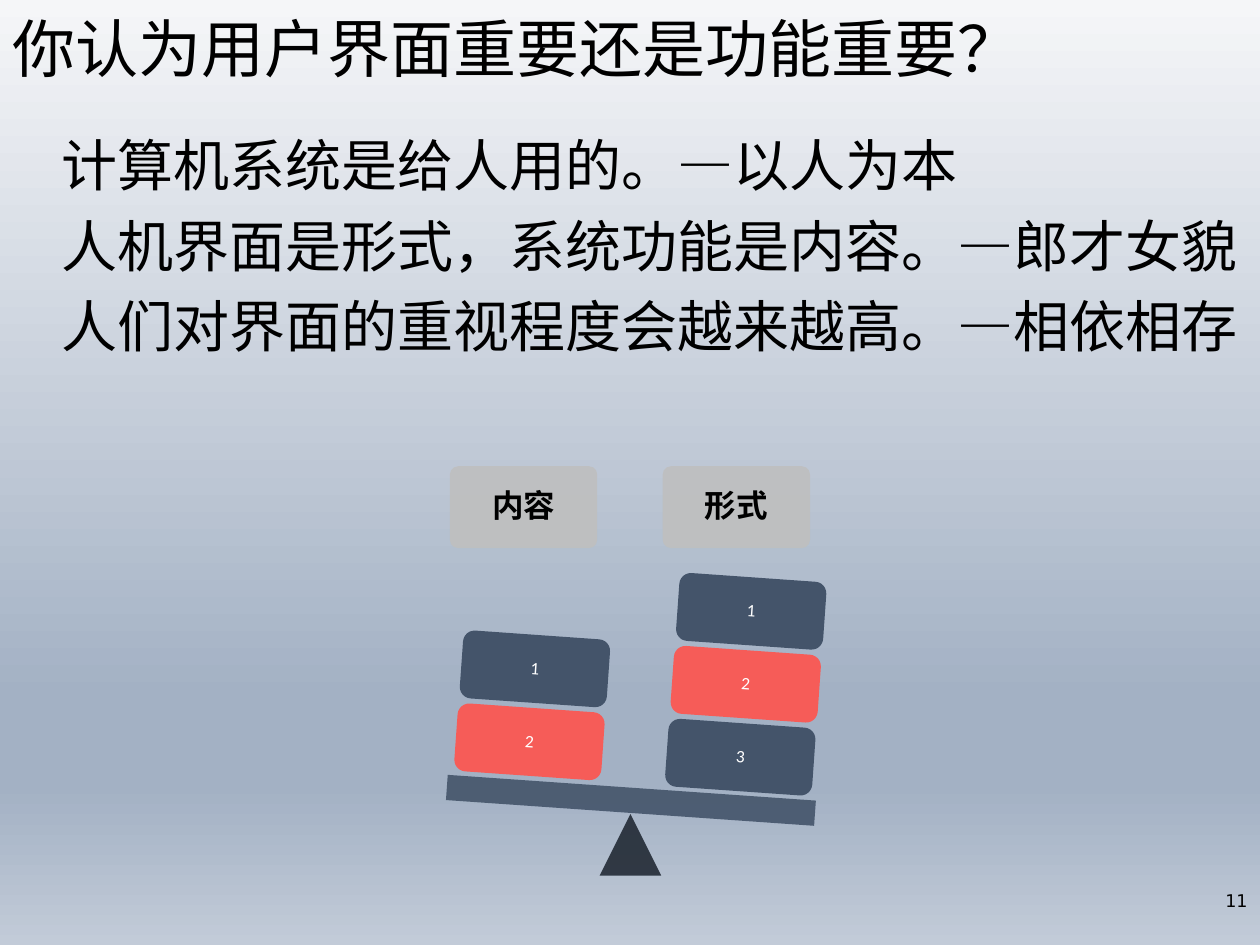
import copy

import pptx
import pptx.dml.color
import pptx.enum.shapes
import pptx.enum.text
import pptx.oxml
import pptx.oxml.ns
import pptx.util

Cm = pptx.util.Cm
Pt = pptx.util.Pt
SHAPE = pptx.enum.shapes.MSO_SHAPE
ALIGN = pptx.enum.text.PP_ALIGN
MIDDLE = pptx.enum.text.MSO_ANCHOR.MIDDLE
TOP = pptx.enum.text.MSO_ANCHOR.TOP

COLORS = {
    "text": "000000",
    "block_text": "FFFFFF",
    "label": "BFBFBF",
    "pivot": "222A35",
    "slate": "44546A",
    "coral": "F65C58",
    "sky_top": "F5F6F8",
    "sky_deep": "A3B1C4",
    "sky_bottom": "C2CBD8",
}
SKY_STOPS = [(0, "sky_top"), (74, "sky_deep"), (83, "sky_deep"), (100, "sky_bottom")]

TITLE = {"size": Pt(36), "name": "Calibri"}
BODY = {"size": Pt(32), "name": "Calibri"}
NUMBER = {"size": Pt(10), "name": "DejaVu Sans"}
LABEL = {"size": Pt(18), "name": "Calibri", "bold": True}
BLOCK = {"size": Pt(10), "name": "Calibri"}


def rgb(color):
    return pptx.dml.color.RGBColor.from_string(COLORS[color])


def apply_format(target, values):
    for name, value in values.items():
        setattr(target, name, value)


def write(frame, lines, font, color="text", anchor=MIDDLE, paragraph_format=None, gap=0):
    apply_format(frame, {"word_wrap": True, "vertical_anchor": anchor})
    for index, line in enumerate(lines):
        paragraph = frame.paragraphs[0] if index == 0 else frame.add_paragraph()
        paragraph.text = line
        apply_format(paragraph, paragraph_format or {})
        if index:
            paragraph.space_before = Pt(gap)
        apply_format(paragraph.font, font)
        paragraph.font.color.rgb = rgb(color)


def place_text(slide, box, lines, font, **options):
    region = slide.shapes.add_textbox(*map(Cm, box))
    write(region.text_frame, lines, font, **options)


def place_shape(slide, kind, box, color, opacity=100, rotation=0, corner=None):
    part = slide.shapes.add_shape(kind, *map(Cm, box))
    part.shadow.inherit = False
    part.rotation = rotation
    part.fill.solid()
    part.fill.fore_color.rgb = rgb(color)
    part.line.fill.background()
    if corner is not None:
        part.adjustments[0] = corner
    if opacity < 100:
        tint = part.fill._xPr.find(".//" + pptx.oxml.ns.qn("a:srgbClr"))
        alpha = pptx.oxml.parse_xml(
            f'<a:alpha {pptx.oxml.ns.nsdecls("a")} val="{opacity * 1000}"/>'
        )
        tint.append(alpha)
    return part


def paint_sky(slide):
    sky = slide.background.fill
    sky.gradient()
    sky.gradient_angle = 270
    stop_list = sky._fill._gradFill.gsLst
    for _ in range(len(SKY_STOPS) - len(stop_list)):
        stop_list.append(copy.deepcopy(stop_list[0]))
    for stop, (position, color) in zip(sky.gradient_stops, SKY_STOPS):
        stop.position = position / 100
        stop.color.rgb = rgb(color)


def draw_seesaw(slide, left, top):
    tilt = 4
    width, label_height, block_height = 2.97, 1.65, 1.37
    lean, rise = 0.11, 1.47
    centred = {"alignment": ALIGN.CENTER, "line_spacing": 0.9}

    place_shape(slide, SHAPE.ISOSCELES_TRIANGLE,
                (left + 3.09, top + 7.01, 1.24, 1.24), "pivot", 90)
    place_shape(slide, SHAPE.RECTANGLE,
                (left, top + 6.48, 7.44, 0.51), "slate", 90, tilt)

    sides = [
        ("内容", 0.07, 0.19, 4.87, [("2", "coral"), ("1", "slate")]),
        ("形式", 4.36, 4.44, 5.18, [("3", "slate"), ("2", "coral"), ("1", "slate")]),
    ]
    for heading, label_x, stack_x, stack_y, blocks in sides:
        label = place_shape(slide, SHAPE.ROUNDED_RECTANGLE,
                            (left + label_x, top, width, label_height),
                            "label", 90, corner=0.1)
        write(label.text_frame, [heading], LABEL, paragraph_format=centred)
        for level, (number, color) in enumerate(blocks):
            box = (left + stack_x + level * lean, top + stack_y - level * rise,
                   width, block_height)
            block = place_shape(slide, SHAPE.ROUNDED_RECTANGLE, box, color,
                                rotation=tilt, corner=0.17)
            write(block.text_frame, [number], BLOCK, "block_text",
                  paragraph_format=centred)


def main():
    deck = pptx.Presentation()
    apply_format(deck, {"slide_width": Cm(25.4), "slide_height": Cm(19.05)})
    slide = deck.slides.add_slide(deck.slide_layouts[6])
    paint_sky(slide)
    place_text(slide, (0, 0.18, 22.1, 1.73), ["你认为用户界面重要还是功能重要？"], TITLE,
               paragraph_format={"line_spacing": 0.9})
    place_text(slide, (0.99, 2.51, 24.41, 16.2), [
        "计算机系统是给人用的。—以人为本",
        "人机界面是形式，系统功能是内容。—郎才女貌",
        "人们对界面的重视程度会越来越高。—相依相存",
    ], BODY, anchor=TOP, gap=7.5)
    place_text(slide, (19.69, 17.65, 5.71, 1.02), ["11"], NUMBER,
               paragraph_format={"alignment": ALIGN.RIGHT})
    draw_seesaw(slide, 9, 9.4)
    deck.save("out.pptx")


if __name__ == "__main__":
    main()
